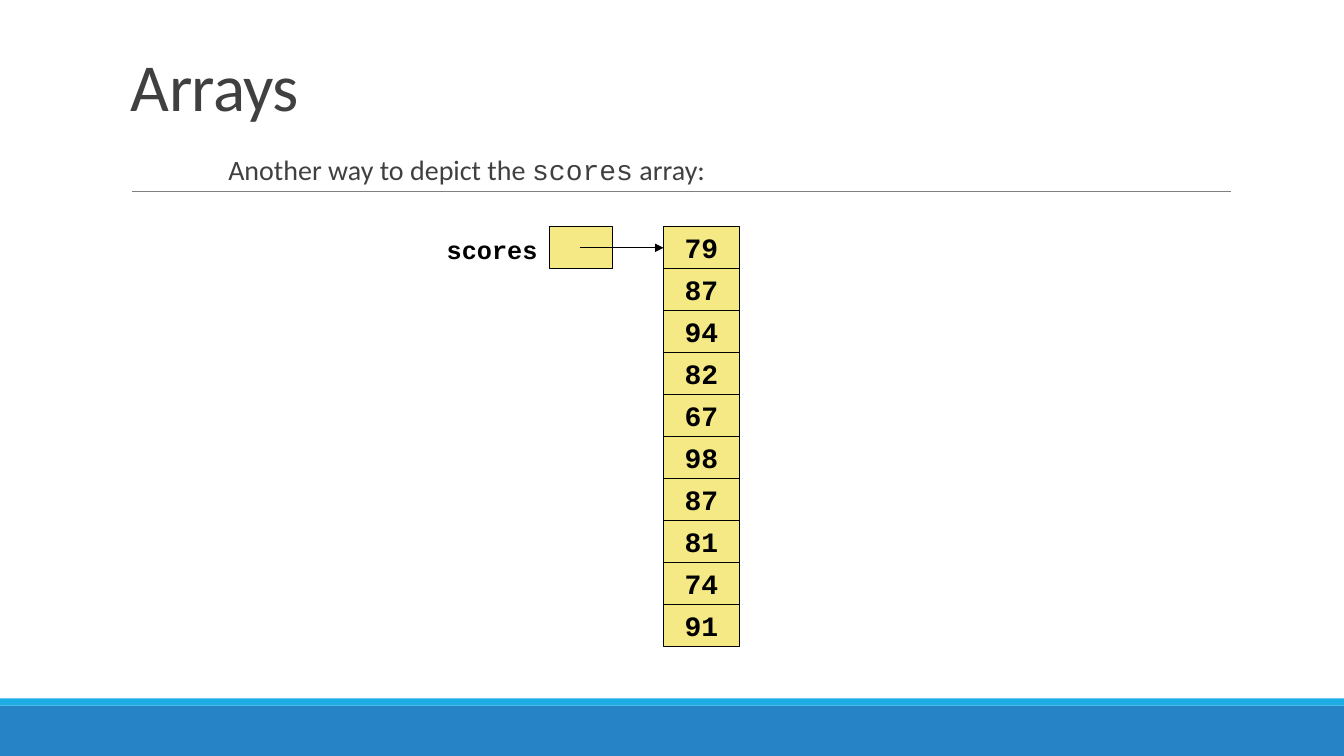
from dataclasses import dataclass

from lxml import etree
from pptx import Presentation
from pptx.dml.color import RGBColor
from pptx.enum.shapes import MSO_CONNECTOR, MSO_SHAPE
from pptx.enum.text import MSO_ANCHOR, MSO_AUTO_SIZE, PP_ALIGN
from pptx.oxml.ns import qn
from pptx.util import Pt

RECTANGLE = MSO_SHAPE.RECTANGLE
STRAIGHT = MSO_CONNECTOR.STRAIGHT
TOP, MIDDLE, BOTTOM = MSO_ANCHOR.TOP, MSO_ANCHOR.MIDDLE, MSO_ANCHOR.BOTTOM
LEFT, CENTER = PP_ALIGN.LEFT, PP_ALIGN.CENTER
NO_AUTOFIT = MSO_AUTO_SIZE.NONE
TITLE_ONLY = 5
EMU_PER_PX = 9525
SLIDE_WIDTH, SLIDE_HEIGHT = 1280, 720
SCORES = [79, 87, 94, 82, 67, 98, 87, 81, 74, 91]


@dataclass(frozen=True)
class Theme:
    text: str = "404040"
    ink: str = "000000"
    cell: str = "F5E985"
    rule: str = "808080"
    footer: str = "2683C6"
    accent: str = "1CADE4"
    body_font: str = "Calibri"
    code_font: str = "Courier New"
    title_size: int = 48
    body_size: int = 20
    label_size: int = 18


THEME = Theme()


def px(*lengths):
    return [length * EMU_PER_PX for length in lengths]


def set_values(target, values):
    for name, value in values.items():
        setattr(target, name, value)


def add_run(paragraph, text, font, size, color, bold=False):
    run = paragraph.add_run()
    run.text = text
    set_values(run.font, {"name": font, "size": Pt(size), "bold": bold})
    run.font.color.rgb = RGBColor.from_string(color)
    return run


def add_rectangle(shapes, box, fill, outline=None):
    shape = shapes.add_shape(RECTANGLE, *px(*box))
    shape.shadow.inherit = False
    shape.fill.solid()
    shape.fill.fore_color.rgb = RGBColor.from_string(fill)
    if outline:
        shape.line.color.rgb = RGBColor.from_string(outline)
        shape.line.width = Pt(0.75)
    else:
        shape.line.fill.background()
    return shape


def add_line(shapes, start, end, color, width, arrow=False):
    line = shapes.add_connector(STRAIGHT, *px(*start, *end))
    line.line.color.rgb = RGBColor.from_string(color)
    line.line.width = Pt(width)
    if arrow:
        etree.SubElement(line.line._get_or_add_ln(), qn("a:tailEnd"), type="triangle")
    etree.SubElement(line._element.spPr, qn("a:effectLst"))


def add_code(shape, text, size, anchor, alignment):
    frame = shape.text_frame
    set_values(frame, {"word_wrap": False, "vertical_anchor": anchor})
    paragraph = frame.paragraphs[0]
    paragraph.alignment = alignment
    add_run(paragraph, text, THEME.code_font, size, THEME.ink, bold=True)


def draw_frame(slide, left, top, width, height):
    footer_height, accent_height = 48, 7
    footer_top = top + height - footer_height
    add_rectangle(slide.shapes, (left, footer_top, width, footer_height), THEME.footer)
    add_rectangle(slide.shapes, (left, footer_top - accent_height, width, accent_height), THEME.accent)
    add_line(slide.shapes, (left + 126, top + 182), (left + 1172, top + 182), THEME.rule, 0.5)


def draw_title(slide, text, left, top, width, height):
    title = slide.shapes.title
    set_values(title, dict(zip(("left", "top", "width", "height"), px(left, top, width, height))))
    set_values(title.text_frame, {"vertical_anchor": BOTTOM, "auto_size": NO_AUTOFIT, "word_wrap": True})
    paragraph = title.text_frame.paragraphs[0]
    set_values(paragraph, {"alignment": LEFT, "line_spacing": 0.85})
    run = add_run(paragraph, text, THEME.body_font, THEME.title_size, THEME.text)
    run.font._element.set("spc", "-50")


def draw_caption(slide, left, top, width, height):
    frame = slide.shapes.add_textbox(*px(left, top, width, height)).text_frame
    set_values(frame, {"word_wrap": True, "margin_right": 0})
    paragraph = frame.paragraphs[0]
    set_values(paragraph, {"line_spacing": 0.9, "space_before": Pt(12), "space_after": Pt(2)})
    for text, font in (
        ("Another way to depict the ", THEME.body_font),
        ("scores", THEME.code_font),
        (" array:", THEME.body_font),
    ):
        add_run(paragraph, text, font, THEME.body_size, THEME.text)


def draw_array(slide, name, values, left, top, width, height):
    shapes = slide.shapes.add_group_shape().shapes
    cell_width, cell_height = 72, height // len(values)
    column_left = left + width - cell_width
    arrow_y = top + cell_height // 2

    add_rectangle(shapes, (left + 107, top, 60, cell_height), THEME.cell, THEME.ink)
    label = shapes.add_textbox(*px(left, top + 2, 106, 38))
    add_code(label, name, THEME.label_size, TOP, LEFT)

    add_line(shapes, (left + 136, arrow_y), (column_left, arrow_y), THEME.ink, 0.75, arrow=True)

    for index, value in enumerate(values):
        box = (column_left, top + index * cell_height, cell_width, cell_height)
        cell = add_rectangle(shapes, box, THEME.cell, THEME.ink)
        add_code(cell, str(value), THEME.body_size, MIDDLE, CENTER)


def main():
    presentation = Presentation()
    presentation.slide_width, presentation.slide_height = px(SLIDE_WIDTH, SLIDE_HEIGHT)
    slide = presentation.slides.add_slide(presentation.slide_layouts[TITLE_ONLY])
    draw_frame(slide, 0, 0, SLIDE_WIDTH, SLIDE_HEIGHT)
    draw_title(slide, "Arrays", 115, 30, 1056, 94)
    draw_caption(slide, 208, 144, 872, 60)
    draw_array(slide, "scores", SCORES, 416, 216, 288, 400)
    presentation.save("out.pptx")


if __name__ == "__main__":
    main()
